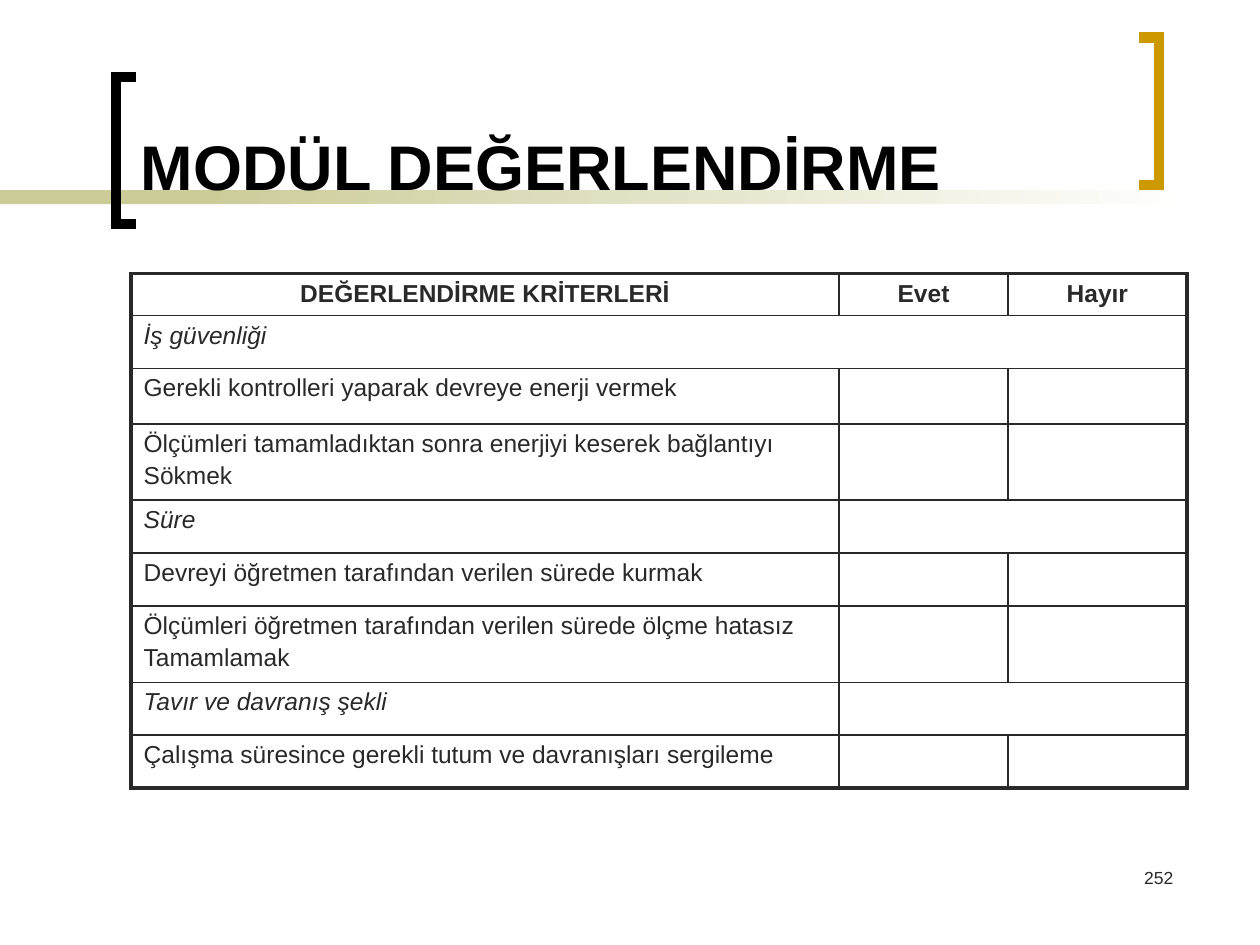
"""Build the module evaluation slide with its criteria table."""
from lxml.etree import SubElement
from pptx import Presentation
from pptx.dml.color import RGBColor
from pptx.enum.shapes import MSO_SHAPE as Shape
from pptx.enum.text import MSO_ANCHOR as Anchor, PP_ALIGN as Align
from pptx.oxml import parse_xml
from pptx.oxml.ns import nsdecls, qn
from pptx.util import Inches, Pt

INK = "292929"
SAND = "CCCC99"


def color(value):
    return RGBColor.from_string(value)


def add_text(paragraph, text, size, ink=INK, bold=False, italic=False):
    run = paragraph.add_run()
    run.text = text
    run.font.name = "Arial"
    run.font.size = Pt(size)
    run.font.bold = bold
    run.font.italic = italic
    run.font.color.rgb = color(ink)


presentation = Presentation()
presentation.slide_width = Inches(10)
presentation.slide_height = Inches(7.5)
slide = presentation.slides.add_slide(presentation.slide_layouts[6])
slide.background.fill.solid()
slide.background.fill.fore_color.rgb = color("FFFFFF")

for left, width, end in [(0, 2.33, None), (1.58, 7.92, "FFFFFF")]:
    band = slide.shapes.add_shape(
        Shape.RECTANGLE, Inches(left), Inches(1.51), Inches(width), Inches(0.11))
    band.shadow.inherit = False
    band.line.fill.background()
    if end is None:
        band.fill.solid()
        band.fill.fore_color.rgb = color(SAND)
    else:
        band.fill.gradient()
        band.fill.gradient_angle = 0
        for stop, value in zip(band.fill.gradient_stops, (SAND, end)):
            stop.color.rgb = color(value)

for tip, spine, top, ink in [(1.08, 0.92, 0.61, "000000"), (9.04, 9.2, 0.3, "CC9900")]:
    bottom = top + 1.17
    builder = slide.shapes.build_freeform(Inches(tip), Inches(top))
    builder.add_line_segments(
        [(Inches(x), Inches(y)) for x, y in [(spine, top), (spine, bottom), (tip, bottom)]],
        close=False)
    bracket = builder.convert_to_shape()
    bracket.shadow.inherit = False
    bracket.fill.background()
    bracket.line.color.rgb = color(ink)
    bracket.line.width = Pt(6)
    SubElement(bracket.line._get_or_add_ln(), qn("a:miter"), lim="800000")

labels = [
    ("252", (7.33, 6.83, 2.08, 0.5), 10, INK, False, Align.RIGHT, Anchor.TOP),
    ("MODÜL DEĞERLENDİRME", (1.02, 0.11, 7.83, 1.55), 36, "000000", True,
     Align.LEFT, Anchor.BOTTOM),
]
for text, place, size, ink, bold, align, anchor in labels:
    frame = slide.shapes.add_textbox(*[Inches(value) for value in place]).text_frame
    frame.word_wrap = True
    frame.vertical_anchor = anchor
    frame.paragraphs[0].alignment = align
    add_text(frame.paragraphs[0], text, size, ink, bold)

# each row: height, cell texts, first column of a merge, italic
rows = [
    (0.32, ["DEĞERLENDİRME KRİTERLERİ", "Evet", "Hayır"], None, False),
    (0.42, ["İş güvenliği"], 0, True),
    (0.44, ["Gerekli kontrolleri yaparak devreye enerji vermek"], None, False),
    (0.58, ["Ölçümleri tamamladıktan sonra enerjiyi keserek bağlantıyı\nSökmek"], None, False),
    (0.42, ["Süre"], 1, True),
    (0.42, ["Devreyi öğretmen tarafından verilen sürede kurmak"], None, False),
    (0.58, ["Ölçümleri öğretmen tarafından verilen sürede ölçme hatasız\nTamamlamak"], None, False),
    (0.42, ["Tavır ve davranış şekli"], 1, True),
    (0.42, ["Çalışma süresince gerekli tutum ve davranışları sergileme"], None, False),
]
widths = [5.62, 1.34, 1.42]
last_row, last_column = len(rows) - 1, len(widths) - 1
graphic = slide.shapes.add_table(
    len(rows), len(widths), Inches(1.04), Inches(2.17),
    Inches(sum(widths)), Inches(sum(row[0] for row in rows)))
table = graphic.table
table.first_row = False
table.horz_banding = False
for column, width in zip(table.columns, widths):
    column.width = Inches(width)

for r, (height, texts, merge_from, italic) in enumerate(rows):
    table.rows[r].height = Inches(height)
    if merge_from is not None:
        table.cell(r, merge_from).merge(table.cell(r, last_column))
    for c in range(len(widths)):
        cell = table.cell(r, c)
        cell.fill.background()
        if cell.is_spanned:
            continue
        header = r == 0
        cell.vertical_anchor = Anchor.MIDDLE if header else Anchor.TOP
        lines = texts[c].split("\n") if c < len(texts) else []
        for index, line in enumerate(lines):
            frame = cell.text_frame
            paragraph = frame.add_paragraph() if index else frame.paragraphs[0]
            paragraph.alignment = Align.CENTER if header else Align.LEFT
            if index:
                paragraph.space_before = Pt(2.8)
            add_text(paragraph, line, 14, bold=header, italic=italic)
        outer = {
            "L": c == 0,
            "R": c + cell.span_width - 1 == last_column,
            "T": r == 0,
            "B": r == last_row,
        }
        for index, (side, thick) in enumerate(outer.items()):
            border = parse_xml(
                f'<a:ln{side} {nsdecls("a")} w="{Pt(2.25 if thick else 1)}"><a:solidFill>'
                f'<a:srgbClr val="{INK}"/></a:solidFill></a:ln{side}>')
            cell._tc.get_or_add_tcPr().insert(index, border)

presentation.save("out.pptx")
